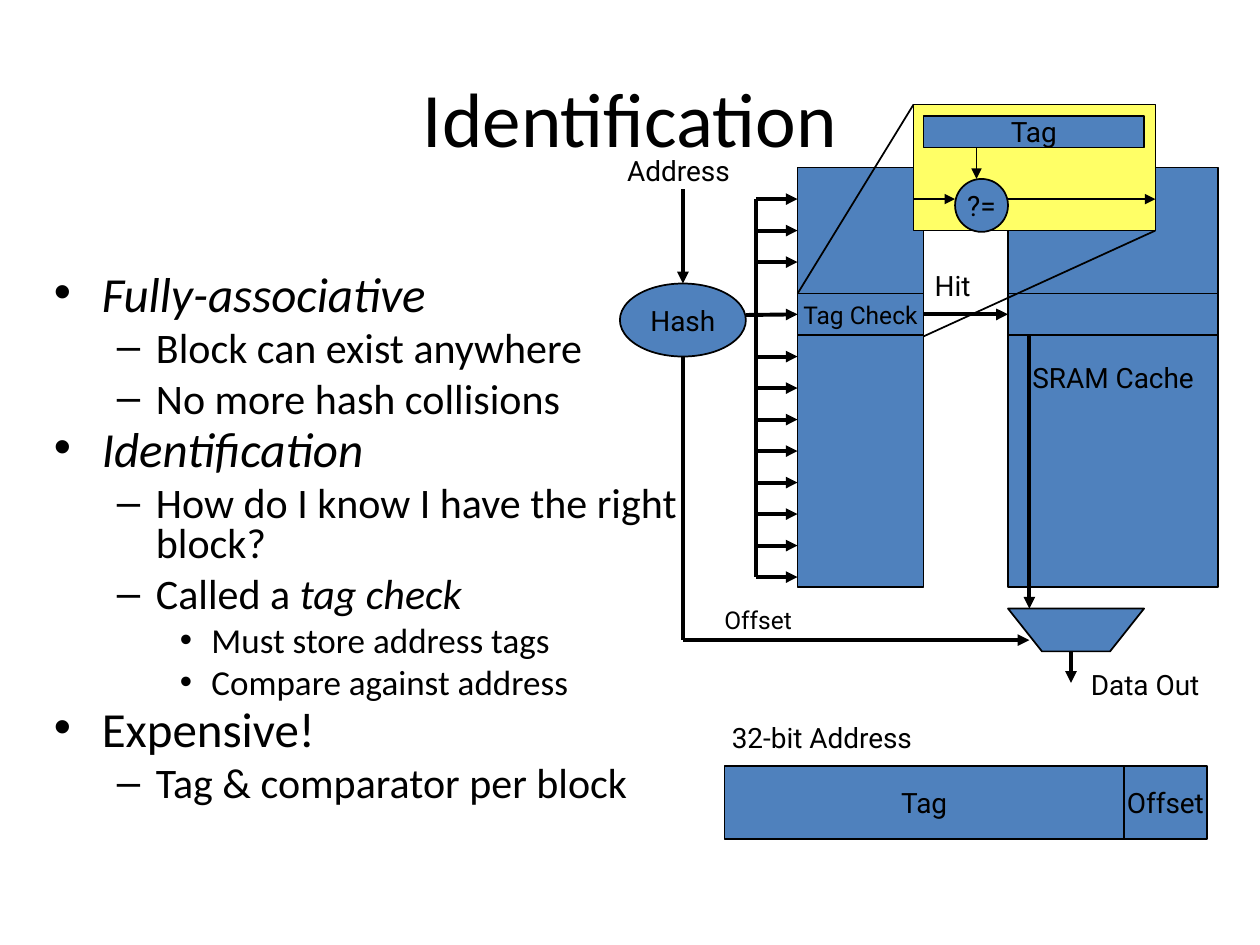
from dataclasses import dataclass

from lxml import etree
from pptx import Presentation
from pptx import util as u
from pptx.dml.color import RGBColor
from pptx.enum import shapes, text
from pptx.oxml.ns import qn

BLACK = RGBColor(0x00, 0x00, 0x00)
BLUE = RGBColor(0x4F, 0x81, 0xBD)
YELLOW = RGBColor(0xFF, 0xFF, 0x66)
RECT = shapes.MSO_SHAPE.RECTANGLE
OVAL = shapes.MSO_SHAPE.OVAL
THIN, THICK = 1, 2.25

LEVELS = [
    {"size": 28, "indent": 0.38, "hang": 0.38, "spacing": 0.7, "before": 7, "bullet": "•"},
    {"size": 24, "indent": 0.81, "hang": 0.31, "spacing": 0.8, "before": 6, "bullet": "–"},
    {"size": 20, "indent": 1.25, "hang": 0.25, "spacing": 0.8, "before": 5, "bullet": "•"},
]
OUTLINE = [
    (0, [("Fully-associative", True)]),
    (1, [("Block can exist anywhere", False)]),
    (1, [("No more hash collisions", False)]),
    (0, [("Identification", True)]),
    (1, [("How do I know I have the right block?", False)]),
    (1, [("Called a ", False), ("tag check", True)]),
    (2, [("Must store address tags", False)]),
    (2, [("Compare against address", False)]),
    (0, [("Expensive!", False)]),
    (1, [("Tag & comparator per block", False)]),
]


@dataclass
class Box:
    left: float
    top: float
    width: float
    height: float

    def point(self, x, y):
        return u.Inches(self.left + x), u.Inches(self.top + y)

    def frame(self):
        return (*self.point(0, 0), u.Inches(self.width), u.Inches(self.height))

    def inner(self, x, y, width, height):
        return Box(self.left + x, self.top + y, width, height)


def apply(target, formats):
    for name, value in formats.items():
        setattr(target, name, value)


def write(paragraph, words, size, font="Roboto", italic=False):
    run = paragraph.add_run()
    run.text = words
    apply(run.font, {"size": u.Pt(size), "name": font, "italic": italic})
    run.font.color.rgb = BLACK


def paint(shape, fill):
    shape.shadow.inherit = False
    shape.fill.solid()
    shape.fill.fore_color.rgb = fill
    shape.line.color.rgb = BLACK
    shape.line.width = u.Pt(THIN)


def block(slide, box, words="", size=16, kind=RECT, fill=BLUE):
    shape = slide.shapes.add_shape(kind, *box.frame())
    paint(shape, fill)
    if words:
        apply(shape.text_frame, {"word_wrap": False, "vertical_anchor": text.MSO_ANCHOR.MIDDLE})
        paragraph = shape.text_frame.paragraphs[0]
        paragraph.alignment = text.PP_ALIGN.CENTER
        write(paragraph, words, size)
    return shape


def label(slide, box, words, size=16):
    frame = slide.shapes.add_textbox(*box.frame()).text_frame
    frame.word_wrap = False
    write(frame.paragraphs[0], words, size)


def wire(slide, start, end, width=THICK, arrow=True):
    connector = slide.shapes.add_connector(shapes.MSO_CONNECTOR.STRAIGHT, *start, *end)
    connector.line.color.rgb = BLACK
    connector.line.width = u.Pt(width)
    if arrow:
        etree.SubElement(connector.get_or_add_ln(), qn("a:tailEnd"), type="triangle")
    etree.SubElement(connector._element.spPr, qn("a:effectLst"))
    return connector


def place_title(slide, box):
    title = slide.shapes.title
    apply(title, dict(zip(("left", "top", "width", "height"), box.frame())))
    title.text_frame.vertical_anchor = text.MSO_ANCHOR.MIDDLE
    heading = title.text_frame.paragraphs[0]
    heading.alignment = text.PP_ALIGN.CENTER
    write(heading, "Identification", 44, "Calibri")


def place_outline(slide, box):
    frame = slide.shapes.add_textbox(*box.frame()).text_frame
    frame.word_wrap = True
    for index, (depth, runs) in enumerate(OUTLINE):
        point = frame.add_paragraph() if index else frame.paragraphs[0]
        level = LEVELS[depth]
        apply(point, {"level": depth, "line_spacing": level["spacing"],
                      "space_before": u.Pt(level["before"])})
        properties = point._p.get_or_add_pPr()
        properties.set("marL", str(u.Inches(level["indent"])))
        properties.set("indent", str(-u.Inches(level["hang"])))
        etree.SubElement(properties, qn("a:buFont"), typeface="Arial")
        etree.SubElement(properties, qn("a:buChar"), char=level["bullet"])
        for words, italic in runs:
            write(point, words, level["size"], "Calibri", italic)


def place_cache(slide, box):
    block(slide, box, "SRAM Cache")
    return block(slide, box.inner(0, 1, box.width, 0.33))


def place_tag_store(slide, box, cache_row):
    block(slide, box)
    tag_check = block(slide, box.inner(0, 1, box.width, 0.33), "Tag Check", 14)
    hit = wire(slide, box.point(1, 1.17), box.point(1.67, 1.17))
    hit.begin_connect(tag_check, 3)
    hit.end_connect(cache_row, 1)
    label(slide, box.inner(0.99, 0.75, 0.5, 0.37), "Hit")
    return tag_check


def place_hashing(slide, box, tag_check):
    hashing = block(slide, box.inner(0, 1.08, 1, 0.58), "Hash", kind=OVAL)
    label(slide, box.inner(-0.04, 0, 1.04, 0.37), "Address")
    wire(slide, box.point(0.5, 0.33), box.point(0.5, 1.08)).end_connect(hashing, 0)
    wire(slide, box.point(1, 1.33), box.point(1.41, 1.33)).end_connect(tag_check, 1)
    bus, store, first, pitch, slots = 1.08, 1.41, 0.41, 0.25, 13
    wire(slide, box.point(bus, first), box.point(bus, first + pitch * (slots - 1)), arrow=False)
    for slot in range(slots):
        if slot not in (3, 4):
            y = first + pitch * slot
            wire(slide, box.point(bus, y), box.point(store, y))
    wire(slide, box.point(0.5, 1.66), box.point(0.5, 3.91), arrow=False)
    wire(slide, box.point(0.5, 3.91), box.point(3.25, 3.91))
    label(slide, box.inner(0.73, 3.58, 0.76, 0.34), "Offset", 14)


def place_selector(slide, box):
    inset = box.width / 4
    outline = slide.shapes.build_freeform(*box.point(0, 0), scale=1.0)
    outline.add_line_segments([box.point(inset, box.height),
                               box.point(box.width - inset, box.height),
                               box.point(box.width, 0)], close=True)
    paint(outline.convert_to_shape(), BLUE)
    wire(slide, box.point(0.17, -2.17), box.point(0.17, 0))
    wire(slide, box.point(0.5, box.height), box.point(0.5, 0.59))
    label(slide, box.inner(0.56, 0.42, 1.14, 0.37), "Data Out")


def place_address_format(slide, box):
    tag_width = 3.17
    label(slide, box.inner(-0.04, -0.41, 1.7, 0.37), "32-bit Address")
    block(slide, box.inner(0, 0, tag_width, box.height), "Tag")
    block(slide, box.inner(tag_width, 0, box.width - tag_width, box.height), "Offset")


def place_comparator(slide, box):
    block(slide, box, fill=YELLOW)
    block(slide, box.inner(0.08, 0.09, 1.75, 0.25), "Tag")
    block(slide, box.inner(0.33, 0.59, 0.42, 0.42), "?=", kind=OVAL)
    wire(slide, box.point(0, 0.75), box.point(0.33, 0.75), THIN)
    wire(slide, box.point(0.75, 0.75), box.point(box.width, 0.75), THIN)
    wire(slide, box.point(0.5, 0.34), box.point(0.5, 0.59), THIN)
    wire(slide, box.point(-0.92, 1.5), box.point(0, 0), THIN, arrow=False)
    wire(slide, box.point(0.08, 1.84), box.point(box.width, box.height), THIN, arrow=False)


def main():
    deck = Presentation()
    apply(deck, {"slide_width": u.Inches(10), "slide_height": u.Inches(7.5)})
    slide = deck.slides.add_slide(deck.slide_layouts.get_by_name("Title Only"))
    place_title(slide, Box(0.5, 0.3, 9, 1.25))
    place_outline(slide, Box(0.33, 2.17, 5.17, 4.67))
    cache_row = place_cache(slide, Box(8, 1.33, 1.67, 3.33))
    tag_check = place_tag_store(slide, Box(6.33, 1.33, 1, 3.33), cache_row)
    place_hashing(slide, Box(4.92, 1.17, 1.41, 3.92), tag_check)
    place_selector(slide, Box(8, 4.83, 1.08, 0.34))
    place_address_format(slide, Box(5.75, 6.08, 3.83, 0.58))
    place_comparator(slide, Box(7.25, 0.83, 1.92, 1))
    deck.save("out.pptx")


if __name__ == "__main__":
    main()
